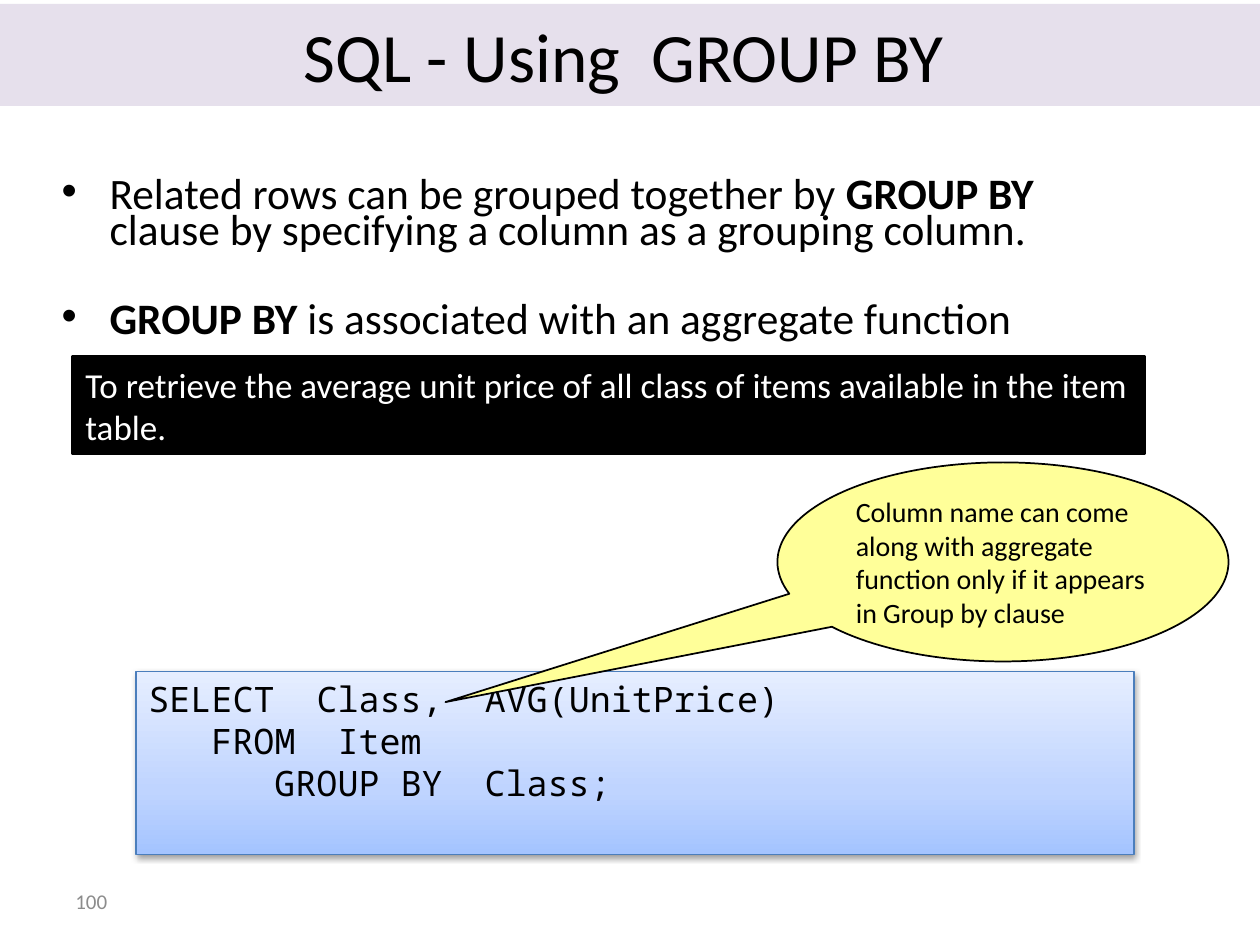
from lxml import etree
from pptx import Presentation
from pptx.dml.color import RGBColor
from pptx.enum.shapes import MSO_SHAPE as Shape
from pptx.enum.text import MSO_ANCHOR as Anchor, PP_ALIGN as Align
from pptx.oxml import parse_xml
from pptx.oxml.ns import nsdecls, qn
from pptx.util import Inches, Pt

# Content
TITLE = "SQL - Using  GROUP BY"
BULLETS = [  # (text, bold) spans
    [("Related rows can be grouped together by ", False), ("GROUP BY", True),
     (" clause by specifying a column as a grouping column.", False)],
    [("GROUP BY", True), (" is associated with an aggregate function", False)],
]
TASK = ("To retrieve the average unit price of all class of items "
        "available in the item table.")
CODE = "SELECT  Class,  AVG(UnitPrice)\n\tFROM  Item\n\t\tGROUP BY  Class;"
NOTE = ("Column name can come along with aggregate function only if it "
        "appears in Group by clause")
PAGE_NUMBER = "100"

# Style
BODY_FONT, CODE_FONT = "Calibri", "Noto Sans Mono"
BLACK = RGBColor(0x00, 0x00, 0x00)
WHITE = RGBColor(0xFF, 0xFF, 0xFF)
GREY = RGBColor(0x8C, 0x8C, 0x8C)
LAVENDER = RGBColor(0xE6, 0xE0, 0xEC)
YELLOW = RGBColor(0xFF, 0xFF, 0x99)
BLUE_EDGE = RGBColor(0x4B, 0x7E, 0xBC)
CODE_GRADIENT = [  # (percent from the bottom, colour)
    (0, RGBColor(0xA4, 0xC4, 0xFF)),
    (35, RGBColor(0xBF, 0xD4, 0xFF)),
    (100, RGBColor(0xE6, 0xEE, 0xFF)),
]


def write(box, text, size, color=BLACK, font=BODY_FONT, align=Align.LEFT,
          anchor=Anchor.TOP):
    frame = box.text_frame
    frame.word_wrap = True
    frame.vertical_anchor = anchor
    frame.text = text
    for para in frame.paragraphs:
        para.alignment = align
        for span in para.runs:
            style(span, size, color, font)


def style(span, size, color=BLACK, font=BODY_FONT, bold=False):
    span.font.size, span.font.name, span.font.bold = Pt(size), font, bold
    span.font.color.rgb = color


def add_panel(page, kind, place, fill=None, edge=None, width=1):
    panel = page.shapes.add_shape(kind, *map(Inches, place))
    panel.shadow.inherit = False
    if fill is not None:
        panel.fill.solid()
        panel.fill.fore_color.rgb = fill
    if edge is None:
        panel.line.fill.background()
    else:
        panel.line.color.rgb = edge
        panel.line.width = Pt(width)
    return panel


def add_bullet(para):
    props = para._p.get_or_add_pPr()
    props.set("marL", str(Inches(0.38)))
    props.set("indent", str(-Inches(0.38)))
    etree.SubElement(props, qn("a:buFont")).set("typeface", "Arial")
    etree.SubElement(props, qn("a:buChar")).set("char", "•")


def shade_code(panel):
    panel.fill.gradient()
    panel.fill.gradient_angle = 90
    stops = panel._element.spPr.find(".//" + qn("a:gsLst"))
    for stop in list(stops):
        stops.remove(stop)
    for percent, color in CODE_GRADIENT:
        stop = etree.SubElement(stops, qn("a:gs"), pos=str(percent * 1000))
        etree.SubElement(stop, qn("a:srgbClr"), val=str(color))
    panel._element.spPr.find(qn("a:effectLst")).append(parse_xml(
        f'<a:outerShdw {nsdecls("a")} blurRad="{Pt(3.1)}" dist="{Pt(1.6)}" '
        'dir="5400000" rotWithShape="0"><a:srgbClr val="000000">'
        '<a:alpha val="38000"/></a:srgbClr></a:outerShdw>'))


def main():
    deck = Presentation()
    deck.slide_width, deck.slide_height = Inches(10), Inches(7.5)
    page = deck.slides.add_slide(deck.slide_layouts[6])

    # Page number
    number = page.shapes.add_textbox(*map(Inches, (0.5, 6.95, 2.33, 0.4)))
    write(number, PAGE_NUMBER, 12, GREY, anchor=Anchor.MIDDLE)

    # Title band
    title = add_panel(page, Shape.RECTANGLE, (0, 0.03, 10, 0.81), LAVENDER)
    title.text_frame.margin_left = 0
    write(title, TITLE, 39.6, align=Align.CENTER, anchor=Anchor.MIDDLE)

    # Bullets
    body = page.shapes.add_textbox(*map(Inches, (0.49, 1.43, 8.2, 1.4)))
    frame = body.text_frame
    frame.word_wrap = True
    frame.margin_left = frame.margin_top = 0
    for index, spans in enumerate(BULLETS):
        para = frame.add_paragraph() if index else frame.paragraphs[0]
        add_bullet(para)
        para.line_spacing = 0.7
        if index:
            para.space_before = Pt(30)
        for text, bold in spans:
            span = para.add_run()
            span.text = text
            style(span, 24.8, bold=bold)

    # SQL code
    code = add_panel(page, Shape.RECTANGLE, (1.08, 5.33, 7.92, 1.45),
                     edge=BLUE_EDGE, width=0.75)
    shade_code(code)
    write(code, CODE, 20, font=CODE_FONT)

    # Callout pointing at the column name
    note = add_panel(page, Shape.OVAL_CALLOUT, (6.17, 3.67, 3.58, 1.58),
                     YELLOW, BLACK)
    note.adjustments[0], note.adjustments[1] = -1.236, 0.704
    write(note, NOTE, 16, anchor=Anchor.MIDDLE)

    # Task banner
    task = add_panel(page, Shape.RECTANGLE, (0.58, 2.83, 8.5, 0.77),
                     BLACK, BLACK, 2)
    write(task, TASK, 20, WHITE, anchor=Anchor.MIDDLE)

    deck.save("out.pptx")


if __name__ == "__main__":
    main()
